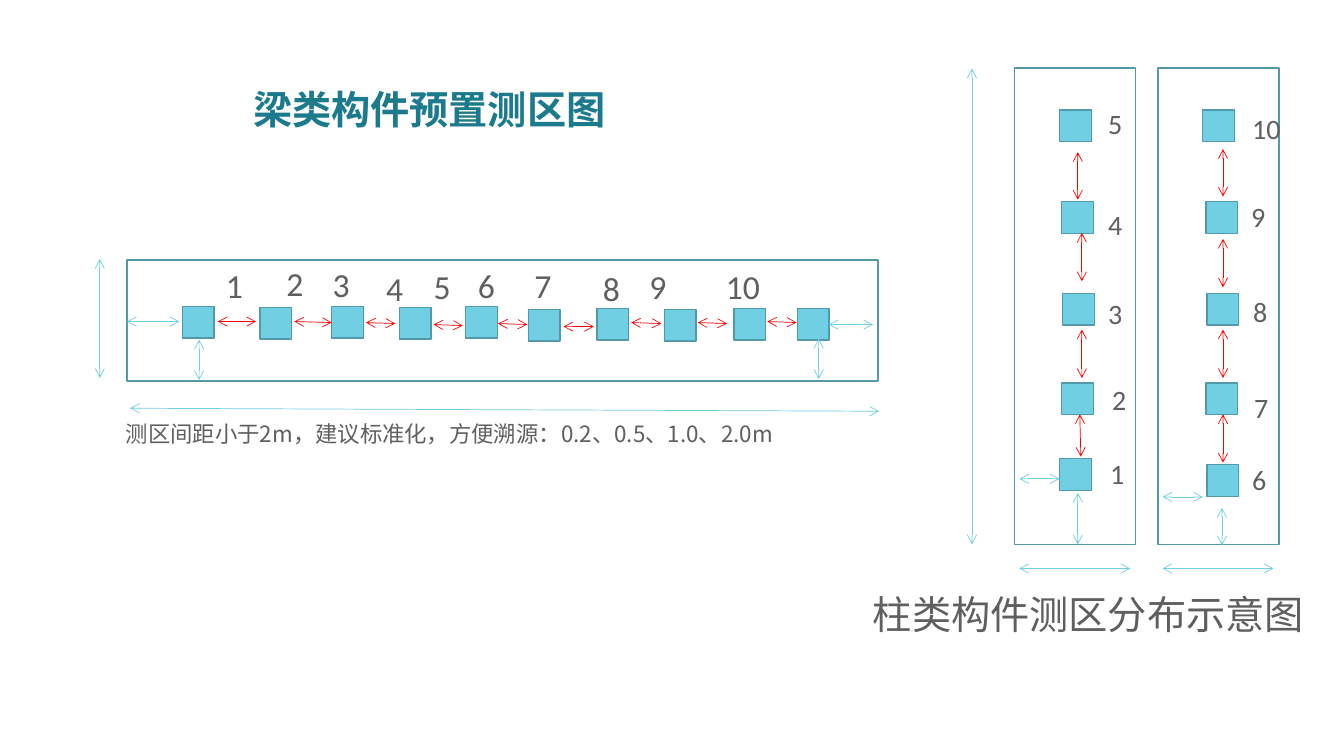
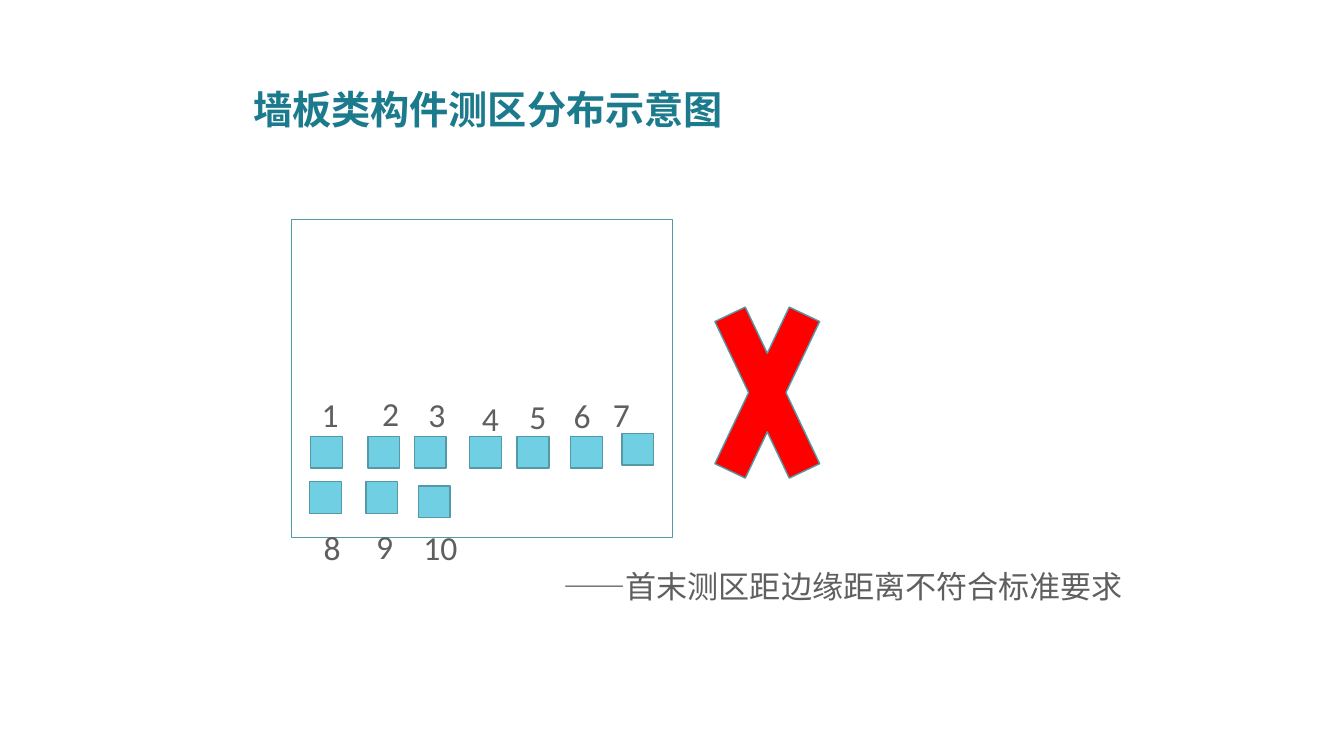
from dataclasses import dataclass

from lxml import etree
from pptx import Presentation
from pptx.dml.color import RGBColor
from pptx.enum.shapes import MSO_CONNECTOR, MSO_SHAPE
from pptx.enum.text import MSO_ANCHOR, MSO_AUTO_SIZE, PP_ALIGN
from pptx.oxml.ns import qn
from pptx.util import Emu, Inches, Pt

RECTANGLE = MSO_SHAPE.RECTANGLE
CROSS = MSO_SHAPE.MATH_MULTIPLY
STRAIGHT = MSO_CONNECTOR.STRAIGHT
MIDDLE = MSO_ANCHOR.MIDDLE
TOP = MSO_ANCHOR.TOP
LEFT = PP_ALIGN.LEFT
FIXED_SIZE = MSO_AUTO_SIZE.NONE

GRID_COLUMNS, GRID_ROWS = 133.3, 75
CELL = Inches(0.1)
TITLE_ONLY = 5

TEAL = "1C7A8D"
CYAN = "70CFE2"
OUTLINE = "5399A7"
GRAY = "5F5F5F"
RED = "FF0000"
CHINESE_FONT = "Noto Sans CJK SC"
LATIN_FONT = "Arial"
NUMBER_FONT = "Calibri"

ZONE_SIZE = 3.15
LABEL_INSET = 0.6
TEXT_INSET = 1
TIGHT_SPACING = 0.84


@dataclass(frozen=True)
class Box:
    column: float
    row: float
    columns: float
    rows: float


@dataclass(frozen=True)
class Arrow:
    start_column: float
    start_row: float
    end_column: float
    end_row: float
    color: str = CYAN


@dataclass(frozen=True)
class Zone:
    column: float
    row: float
    number: int
    label_column: float
    label_row: float


@dataclass(frozen=True)
class Member:
    outline: Box
    zones: tuple[Zone, ...]
    arrows: tuple[Arrow, ...]
    label_size: float


@dataclass(frozen=True)
class TextStyle:
    size: float
    font: str
    color: str = GRAY
    bold: bool = False
    spacing: float = 1.0


TITLE_STYLE = TextStyle(28, CHINESE_FONT, TEAL, True, 0.9)
NOTE_STYLE = TextStyle(16, CHINESE_FONT, spacing=TIGHT_SPACING)
CAPTION_STYLE = TextStyle(28, LATIN_FONT, spacing=TIGHT_SPACING)
VERDICT_STYLE = TextStyle(22.2, LATIN_FONT, spacing=TIGHT_SPACING)


def vertical_arrows(column: float, spans: tuple, color: str) -> tuple[Arrow, ...]:
    return tuple(Arrow(column, top, column, bottom, color) for top, bottom in spans)


BEAM = Member(
    Box(12.6, 25.8, 74.5, 12),
    (
        Zone(18.1, 30.4, 1, 21.8, 25.8),
        Zone(25.8, 30.5, 2, 27.8, 25.6),
        Zone(32.9, 30.4, 3, 32.4, 25.7),
        Zone(39.6, 30.5, 4, 37.7, 26.1),
        Zone(46.2, 30.4, 5, 42.4, 25.9),
        Zone(52.4, 30.7, 6, 46.8, 25.8),
        Zone(59.2, 30.6, 7, 52.4, 25.8),
        Zone(65.9, 30.7, 8, 59.2, 26.1),
        Zone(72.8, 30.6, 9, 63.8, 25.9),
        Zone(79.1, 30.6, 10, 71.4, 25.9),
    ),
    (
        Arrow(12.6, 31.9, 17.8, 31.9),
        Arrow(82.2, 32.2, 86.6, 32.2),
        Arrow(12.9, 40.5, 87.2, 40.8),
        Arrow(9.9, 25.7, 9.9, 37.5),
        Arrow(19.75, 33.7, 19.75, 37.7),
        Arrow(81.2, 33.6, 81.2, 37.6),
        Arrow(21.6, 31.9, 25.4, 31.9, RED),
        Arrow(29.2, 31.9, 32.9, 32, RED),
        Arrow(36.3, 32, 39.2, 32.1, RED),
        Arrow(43, 32.2, 45.9, 32.3, RED),
        Arrow(49.4, 32.1, 52.3, 32.2, RED),
        Arrow(55.9, 32.4, 58.9, 32.4, RED),
        Arrow(62.6, 32, 65.6, 32.1, RED),
        Arrow(69.2, 32, 72.1, 32.1, RED),
        Arrow(76.1, 31.9, 79, 32, RED),
    ),
    24,
)

LEFT_COLUMN = Member(
    Box(100.65, 6.75, 12, 47.3),
    (
        Zone(105.1, 45.5, 1, 109.5, 44.8),
        Zone(105.3, 38, 2, 109.7, 37.5),
        Zone(105.4, 29.1, 3, 109.3, 28.9),
        Zone(105.3, 20, 4, 109.3, 20.1),
        Zone(105.1, 10.9, 5, 109.3, 10.1),
    ),
    (
        Arrow(96.4, 6.8, 96.4, 54),
        Arrow(101.1, 47.5, 105.1, 47.5),
        Arrow(101.1, 56.4, 112.1, 56.4),
        Arrow(106.9, 48.9, 106.9, 54),
        Arrow(107.1, 41.1, 107.2, 45.3, RED),
        *vertical_arrows(107.3, ((23.1, 27.9), (32.7, 37.5)), RED),
        Arrow(106.9, 15.1, 106.9, 19.8, RED),
    ),
    20,
)

RIGHT_COLUMN = Member(
    Box(114.85, 6.75, 12, 47.3),
    (
        Zone(119.7, 46.1, 6, 123.6, 45.4),
        Zone(119.6, 38, 7, 123.8, 38.2),
        Zone(119.7, 29.1, 8, 123.7, 28.7),
        Zone(119.6, 20, 9, 123.5, 19.3),
        Zone(119.3, 10.9, 10, 123.6, 10.6),
    ),
    (
        Arrow(115.3, 49.3, 119.3, 49.3),
        Arrow(115.3, 56.4, 126.3, 56.4),
        Arrow(121.2, 50.4, 121.2, 54.1),
        *vertical_arrows(
            121.3, ((14.8, 19.5), (23.7, 28.5), (32.7, 37.5), (41.1, 45.9)), RED
        ),
    ),
    20,
)

WALL = Member(
    Box(28.9, 21.8, 37.8, 31.5),
    (
        Zone(30.8, 43.3, 1, 31.3, 38.6),
        Zone(36.5, 43.3, 2, 37.3, 38.5),
        Zone(41.1, 43.3, 3, 41.9, 38.6),
        Zone(46.6, 43.3, 4, 47.2, 39),
        Zone(51.3, 43.3, 5, 51.9, 38.8),
        Zone(56.6, 43.3, 6, 56.3, 38.7),
        Zone(61.7, 43, 7, 60.2, 38.6),
        Zone(30.7, 47.8, 8, 31.5, 51.8),
        Zone(36.3, 47.8, 9, 36.7, 51.7),
        Zone(41.5, 48.2, 10, 41.4, 51.8),
    ),
    (),
    24,
)


def cells(count: float) -> Emu:
    return Emu(round(count * CELL))


def rgb(color: str) -> RGBColor:
    return RGBColor.from_string(color)


def place(box: Box) -> tuple[Emu, Emu, Emu, Emu]:
    return cells(box.column), cells(box.row), cells(box.columns), cells(box.rows)


def write_text(shape, text: str, style: TextStyle, inset: float, anchor=TOP) -> None:
    frame = shape.text_frame
    frame.word_wrap = True
    frame.auto_size = FIXED_SIZE
    frame.vertical_anchor = anchor
    frame.margin_left = frame.margin_right = cells(inset)
    frame.margin_top = frame.margin_bottom = cells(0.5)
    paragraph = frame.paragraphs[0]
    paragraph.alignment = LEFT
    paragraph.line_spacing = style.spacing
    run = paragraph.add_run()
    run.text = text
    run.font.size = Pt(style.size)
    run.font.name = style.font
    run.font.bold = style.bold
    run.font.color.rgb = rgb(style.color)
    east_asian = etree.SubElement(run.font._element, qn("a:ea"))
    east_asian.set("typeface", CHINESE_FONT)


def add_text(slide, box: Box, text: str, style: TextStyle, inset=TEXT_INSET) -> None:
    write_text(slide.shapes.add_textbox(*place(box)), text, style, inset)


def add_figure(slide, box: Box, fill: str | None = None, kind=RECTANGLE) -> None:
    shape = slide.shapes.add_shape(kind, *place(box))
    shape.shadow.inherit = False
    shape.line.color.rgb = rgb(OUTLINE)
    shape.line.width = Pt(1)
    if fill is None:
        shape.fill.background()
    else:
        shape.fill.solid()
        shape.fill.fore_color.rgb = rgb(fill)


def add_arrow(slide, arrow: Arrow) -> None:
    connector = slide.shapes.add_connector(
        STRAIGHT,
        cells(arrow.start_column),
        cells(arrow.start_row),
        cells(arrow.end_column),
        cells(arrow.end_row),
    )
    connector.line.color.rgb = rgb(arrow.color)
    connector.line.width = Pt(0.5)
    properties = connector._element.spPr
    line = properties.find(qn("a:ln"))
    for end in ("a:headEnd", "a:tailEnd"):
        etree.SubElement(line, qn(end)).set("type", "arrow")
    etree.SubElement(properties, qn("a:effectLst"))


def add_member(slide, member: Member) -> None:
    add_figure(slide, member.outline)
    style = TextStyle(member.label_size, NUMBER_FONT)
    for zone in member.zones:
        add_figure(slide, Box(zone.column, zone.row, ZONE_SIZE, ZONE_SIZE), CYAN)
    for zone in member.zones:
        label_box = Box(zone.label_column, zone.label_row, 6, 5)
        add_text(slide, label_box, str(zone.number), style, LABEL_INSET)
    for arrow in member.arrows:
        add_arrow(slide, arrow)


def add_titled_slide(presentation, title: str, title_columns: float):
    slide = presentation.slides.add_slide(presentation.slide_layouts[TITLE_ONLY])
    shape = slide.shapes.title
    title_box = Box(24.1, 6.8, title_columns, 8.5)
    shape.left, shape.top, shape.width, shape.height = place(title_box)
    write_text(shape, title, TITLE_STYLE, TEXT_INSET, MIDDLE)
    return slide


def build_beam_and_columns(presentation) -> None:
    slide = add_titled_slide(presentation, "梁类构件预置测区图", 38.5)
    for member in (BEAM, LEFT_COLUMN, RIGHT_COLUMN):
        add_member(slide, member)
    note = "测区间距小于2m，建议标准化，方便溯源：0.2、0.5、1.0、2.0m"
    add_text(slide, Box(11.5, 41.6, 66.5, 6.4), note, NOTE_STYLE)
    add_text(slide, Box(85.6, 58.8, 46.1, 5.7), "柱类构件测区分布示意图", CAPTION_STYLE)


def build_wall(presentation) -> None:
    slide = add_titled_slide(presentation, "墙板类构件测区分布示意图", 86.7)
    add_member(slide, WALL)
    add_figure(slide, Box(69, 24, 14.2, 29.9), RED, CROSS)
    verdict = "——首末测区距边缘距离不符合标准要求"
    add_text(slide, Box(54.9, 56.4, 66.7, 4.7), verdict, VERDICT_STYLE)


def main() -> None:
    presentation = Presentation()
    presentation.slide_width = cells(GRID_COLUMNS)
    presentation.slide_height = cells(GRID_ROWS)
    build_beam_and_columns(presentation)
    build_wall(presentation)
    presentation.save("out.pptx")


if __name__ == "__main__":
    main()
